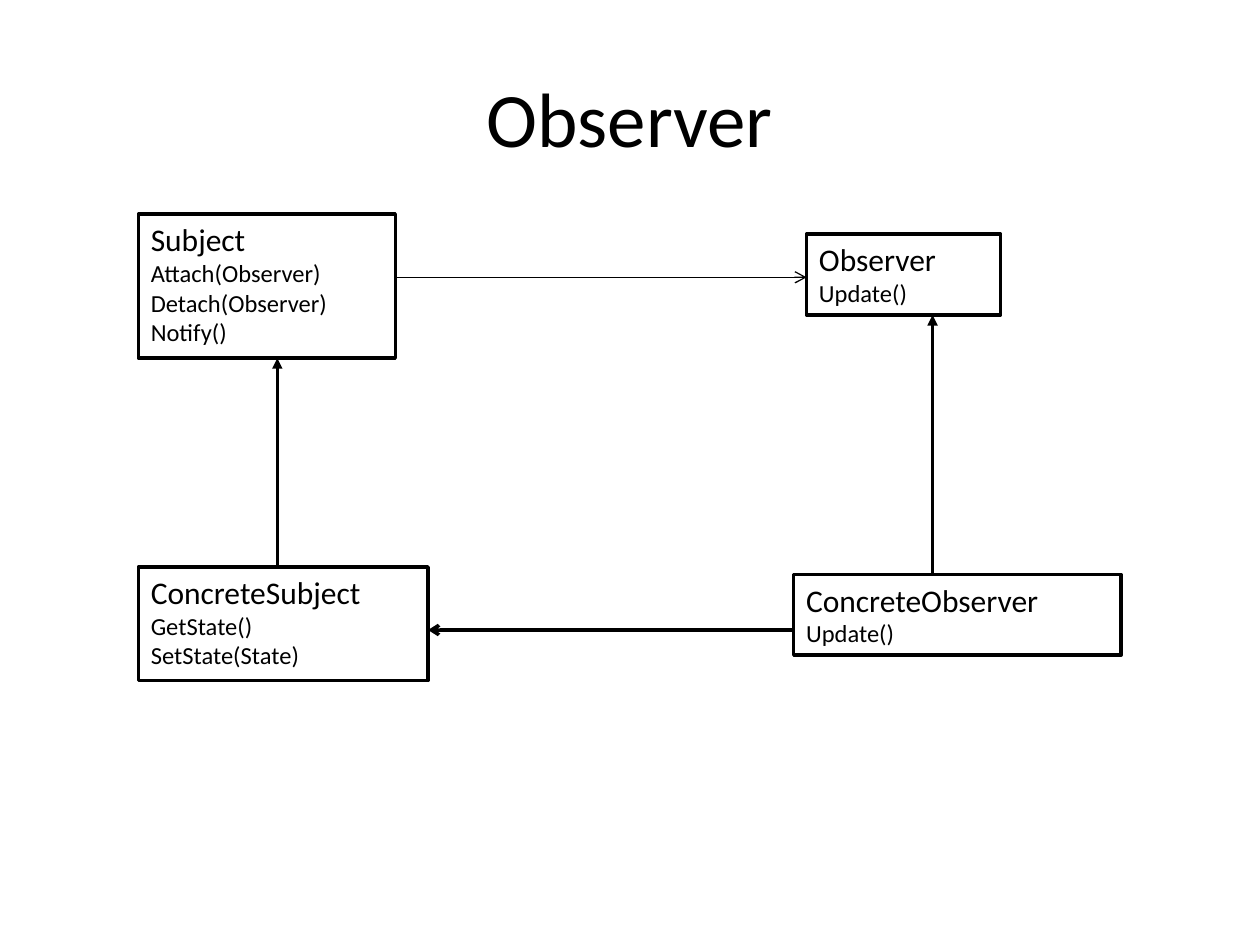
from dataclasses import dataclass

from lxml.etree import SubElement
from pptx import Presentation
from pptx.dml.color import RGBColor
from pptx.enum.shapes import MSO_CONNECTOR, MSO_SHAPE
from pptx.enum.text import MSO_ANCHOR, PP_ALIGN
from pptx.oxml.ns import qn
from pptx.util import Cm, Pt


@dataclass(frozen=True)
class Theme:
    font: str = "Calibri"
    ink: RGBColor = RGBColor(0, 0, 0)
    paper: RGBColor = RGBColor(255, 255, 255)
    title_size: int = 44
    class_size: int = 18
    method_size: int = 14
    border: float = 2
    hairline: float = 0
    association: float = 0.75


THEME = Theme()
TITLE = "Observer"

# name: (left, top, width, height in cm, methods)
CLASSES = {
    "Subject": (2.79, 4.32, 5.18, 2.9,
                ["Attach(Observer)", "Detach(Observer)", "Notify()"]),
    "Observer": (16.26, 4.72, 3.91, 1.63, ["Update()"]),
    "ConcreteSubject": (2.79, 11.43, 5.84, 2.29,
                        ["GetState()", "SetState(State)"]),
    "ConcreteObserver": (16, 11.58, 6.6, 1.63, ["Update()"]),
}

# from class, to class, height of the line in cm, line width
ASSOCIATIONS = [
    ("Subject", "Observer", 5.59, THEME.association),
    ("ConcreteObserver", "ConcreteSubject", 12.7, THEME.hairline),
]

# child class, parent class, horizontal place of the line in cm
INHERITANCES = [
    ("ConcreteSubject", "Subject", 5.59),
    ("ConcreteObserver", "Observer", 18.8),
]


def add_span(para, text, size):
    span = para.add_run()
    span.text = text
    span.font.name = THEME.font
    span.font.size = Pt(size)
    span.font.color.rgb = THEME.ink


def add_title(page):
    title = page.shapes.title
    title.left, title.top, title.width, title.height = (
        Cm(1.27), Cm(0.76), Cm(22.86), Cm(3.18))
    title.text_frame.vertical_anchor = MSO_ANCHOR.MIDDLE
    para = title.text_frame.paragraphs[0]
    para.alignment = PP_ALIGN.CENTER
    add_span(para, TITLE, THEME.title_size)


def add_class_box(page, name, left, top, width, height, methods):
    box = page.shapes.add_shape(
        MSO_SHAPE.RECTANGLE, Cm(left), Cm(top), Cm(width), Cm(height))
    box.shadow.inherit = False
    box.fill.solid()
    box.fill.fore_color.rgb = THEME.paper
    box.line.color.rgb = THEME.ink
    box.line.width = Pt(THEME.border)
    frame = box.text_frame
    frame.word_wrap = True
    frame.vertical_anchor = MSO_ANCHOR.TOP
    for index, text in enumerate([name, *methods]):
        para = frame.add_paragraph() if index else frame.paragraphs[0]
        para.alignment = PP_ALIGN.LEFT
        add_span(para, text, THEME.method_size if index else THEME.class_size)
    return box


def add_arrow(page, start, end, width, head):
    arrow = page.shapes.add_connector(MSO_CONNECTOR.STRAIGHT, *start, *end)
    arrow.line.color.rgb = THEME.ink
    arrow.line.width = Pt(width)
    SubElement(arrow.line._get_or_add_ln(), qn("a:tailEnd"), type=head)
    SubElement(arrow._element.spPr, qn("a:effectLst"))


def main():
    deck = Presentation()
    deck.slide_width, deck.slide_height = Cm(25.4), Cm(19.05)
    page = deck.slides.add_slide(deck.slide_layouts[5])
    add_title(page)

    boxes = {name: add_class_box(page, name, *details)
             for name, details in CLASSES.items()}

    for source, target, height, width in ASSOCIATIONS:
        first, last = boxes[source], boxes[target]
        if first.left < last.left:
            start, end = first.left + first.width, last.left
        else:
            start, end = first.left, last.left + last.width
        add_arrow(page, (start, Cm(height)), (end, Cm(height)), width, "arrow")

    for child, parent, place in INHERITANCES:
        bottom = boxes[parent].top + boxes[parent].height
        add_arrow(page, (Cm(place), boxes[child].top), (Cm(place), bottom),
                  THEME.hairline, "triangle")

    deck.save("out.pptx")


if __name__ == "__main__":
    main()
